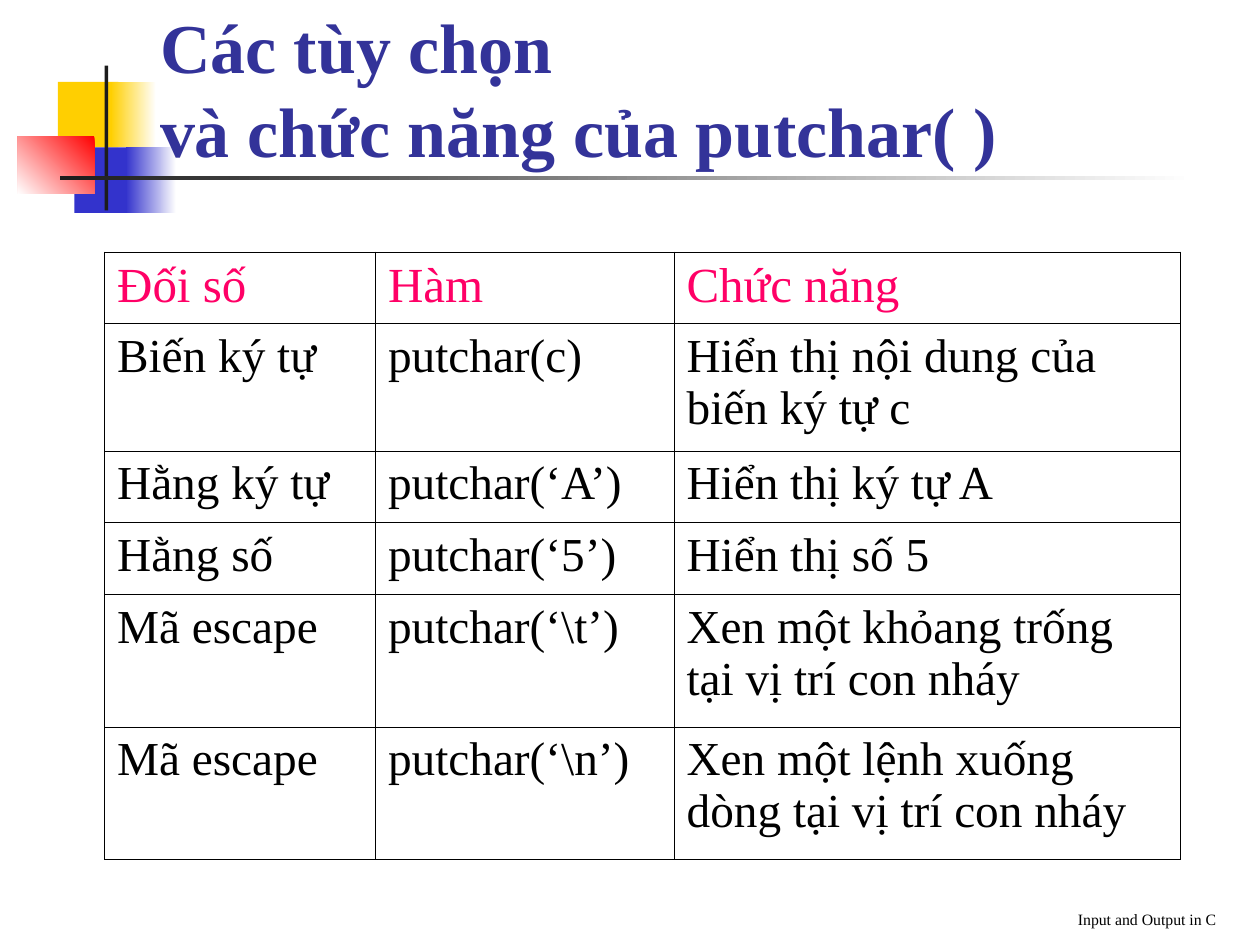
from lxml import etree
from pptx import Presentation
from pptx.dml.color import RGBColor
from pptx.enum.shapes import MSO_SHAPE
from pptx.enum.text import MSO_ANCHOR, MSO_AUTO_SIZE, PP_ALIGN
from pptx.oxml.ns import qn
from pptx.util import Inches, Pt

COLORS = {
    "white": "FFFFFF", "black": "000000", "yellow": "FFCF01", "blue": "3333CC",
    "red": "FF0000", "dark": "1C1C1C", "title": "333399", "header": "FF0066",
}
FONT = "Times New Roman"
TITLE = "Các tùy chọn \vvà chức năng của putchar( )"
FOOTER = "Input and Output in C"
ROWS = [
    ("Đối số", "Hàm", "Chức năng"),
    ("Biến ký tự", "putchar(c)", "Hiển thị nội dung của biến ký tự c"),
    ("Hằng ký tự", "putchar(‘A’)", "Hiển thị ký tự A"),
    ("Hằng số", "putchar(‘5’)", "Hiển thị số 5"),
    ("Mã escape", "putchar(‘\\t’)", "Xen một khỏang trống tại vị trí con nháy"),
    ("Mã escape", "putchar(‘\\n’)", "Xen một lệnh xuống dòng tại vị trí con nháy"),
]
COL_WIDTHS = (2.15, 2.37, 4.02)
ROW_HEIGHTS = (0.57, 1.01, 0.57, 0.57, 1.05, 1.05)
TABLE_LEFT, TABLE_TOP = 0.83, 2
# box, colours (two make a gradient), counter-clockwise angle
DECORATIONS = [
    ((0.46, 0.65, 0.48, 0.52), ("yellow",), 0),
    ((0.88, 0.65, 0.36, 0.52), ("white", "yellow"), 180),
    ((0.59, 1.17, 0.46, 0.52), ("blue",), 0),
    ((1, 1.17, 0.4, 0.52), ("white", "blue"), 180),
    ((0.14, 1.08, 0.61, 0.46), ("red", "white"), 225),
    ((0.83, 0.52, 0.03, 1.15), ("dark",), 0),
    ((0.48, 1.4, 9, 0.03), ("white", "dark"), 180),
]


def rgb(name):
    return RGBColor.from_string(COLORS[name])


def set_text(tf, text, size, color, bold=False, align=PP_ALIGN.LEFT):
    tf.text = text
    p = tf.paragraphs[0]
    p.alignment = align
    for r in p.runs:
        for key, value in {"name": FONT, "size": Pt(size), "bold": bold}.items():
            setattr(r.font, key, value)
        r.font.color.rgb = rgb(color)


def add_decoration(slide, box, names, angle):
    sp = slide.shapes.add_shape(MSO_SHAPE.RECTANGLE, *map(Inches, box))
    sp.shadow.inherit = False
    sp.line.fill.background()
    if len(names) == 1:
        sp.fill.solid()
        sp.fill.fore_color.rgb = rgb(names[0])
    else:
        sp.fill.gradient()
        sp.fill.gradient_angle = angle
        for stop, name, position in zip(sp.fill.gradient_stops, names, (0, 1)):
            stop.color.rgb = rgb(name)
            stop.position = position
    return sp


def add_borders(cell):
    """Put a thin black line on each side; borders must precede the fill."""
    tcPr = cell._tc.get_or_add_tcPr()
    for i, side in enumerate(("lnL", "lnR", "lnT", "lnB")):
        ln = etree.Element(qn(f"a:{side}"), w=str(Pt(0.45)))
        fill = etree.SubElement(ln, qn("a:solidFill"))
        etree.SubElement(fill, qn("a:srgbClr"), val=COLORS["black"])
        tcPr.insert(i, ln)


def add_function_table(slide):
    table = slide.shapes.add_table(
        len(ROWS), len(COL_WIDTHS), Inches(TABLE_LEFT), Inches(TABLE_TOP),
        Inches(sum(COL_WIDTHS)), Inches(sum(ROW_HEIGHTS))).table
    for column, width in zip(table.columns, COL_WIDTHS):
        column.width = Inches(width)
    for i, (row, height, texts) in enumerate(zip(table.rows, ROW_HEIGHTS, ROWS)):
        row.height = Inches(height)
        size, color = (28, "header") if i == 0 else (27, "black")
        for cell, text in zip(row.cells, texts):
            cell.fill.background()
            add_borders(cell)
            set_text(cell.text_frame, text, size, color)


def main():
    prs = Presentation()
    prs.slide_width, prs.slide_height = Inches(10), Inches(7.5)
    slide = prs.slides.add_slide(prs.slide_layouts[5])

    shapes = [add_decoration(slide, *item) for item in DECORATIONS]

    title = slide.shapes.title
    shapes[-1].element.addnext(title.element)
    title.left, title.top, title.width, title.height = map(
        Inches, (1.17, 0.08, 7.92, 1.33))
    tf = title.text_frame
    tf.auto_size = MSO_AUTO_SIZE.NONE
    tf.vertical_anchor = MSO_ANCHOR.BOTTOM
    set_text(tf, TITLE, 40, "title", bold=True)

    add_function_table(slide)

    footer = slide.shapes.add_textbox(*map(Inches, (3.67, 6.92, 6.08, 0.5)))
    tf = footer.text_frame
    tf.word_wrap = True
    tf.vertical_anchor = MSO_ANCHOR.BOTTOM
    set_text(tf, FOOTER, 9, "black", align=PP_ALIGN.RIGHT)

    prs.save("out.pptx")


if __name__ == "__main__":
    main()
